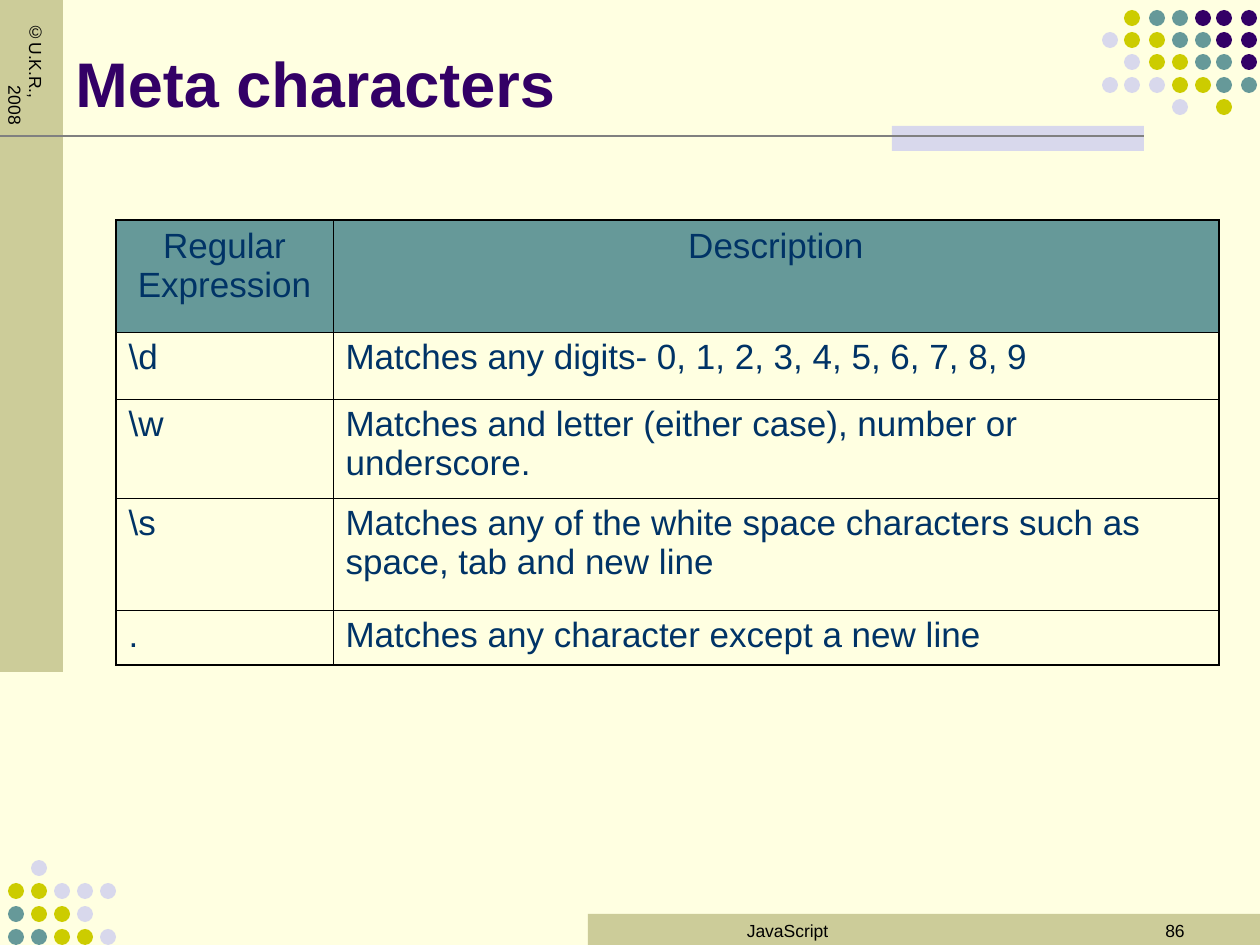
import pptx
import pptx.dml.color
import pptx.enum.shapes
import pptx.enum.text
import pptx.oxml
import pptx.oxml.ns
import pptx.util

ALIGN = pptx.enum.text.PP_ALIGN
ANCHOR = pptx.enum.text.MSO_ANCHOR
SHAPE = pptx.enum.shapes.MSO_SHAPE

PURPLE, TEAL, OLIVE, LILAC = "330066", "669999", "CCCC00", "D8D8EC"
SAND, CREAM, GREY, NAVY, BLACK = "CCCC99", "FFFFE1", "808080", "003366", "000000"
DOT_COLORS = {"P": PURPLE, "T": TEAL, "Y": OLIVE, "L": LILAC}


def px(length):
    return pptx.util.Emu(round(length * 914400 / 126))


def rgb(color):
    return pptx.dml.color.RGBColor.from_string(color)


class SlideBuilder:
    font = "Arial"
    dot_size = 16
    outer_border, inner_border = 1.08, 0.45

    def __init__(self, slide):
        self.slide = slide
        fill = slide.background.fill
        fill.solid()
        fill.fore_color.rgb = rgb(CREAM)

    def shape(self, kind, left, top, width, height, color):
        shape = self.slide.shapes.add_shape(kind, px(left), px(top), px(width), px(height))
        shape.shadow.inherit = False
        shape.fill.solid()
        shape.fill.fore_color.rgb = rgb(color)
        shape.line.fill.background()

    def dots(self, lefts, tops, pattern):
        """Draw one dot per letter of the pattern rows; a full stop is a gap."""
        for top, row in zip(tops, pattern):
            for left, letter in zip(lefts, row):
                if letter != ".":
                    self.shape(SHAPE.OVAL, left, top, self.dot_size, self.dot_size,
                               DOT_COLORS[letter])

    def rule(self, left, right, y, color, points):
        line = self.slide.shapes.add_connector(
            pptx.enum.shapes.MSO_CONNECTOR.STRAIGHT, px(left), px(y), px(right), px(y))
        line.line.color.rgb = rgb(color)
        line.line.width = pptx.util.Pt(points)
        properties = line._element.spPr
        properties.append(properties.makeelement(pptx.oxml.ns.qn("a:effectLst"), {}))

    def add_words(self, frame, text, size, color, align=ALIGN.LEFT, bold=False):
        paragraph = frame.paragraphs[0]
        paragraph.alignment = align
        run = paragraph.add_run()
        run.text = text
        run.font.name = self.font
        run.font.size = pptx.util.Pt(size)
        run.font.bold = bold
        run.font.color.rgb = rgb(color)

    def text(self, left, top, width, height, text, size, color,
             align=ALIGN.LEFT, bold=False, anchor=ANCHOR.TOP):
        box = self.slide.shapes.add_textbox(px(left), px(top), px(width), px(height))
        frame = box.text_frame
        frame.word_wrap = True
        frame.vertical_anchor = anchor
        self.add_words(frame, text, size, color, align, bold)
        return frame

    def vertical_text(self, left, top, width, height, text, size, color, hanging):
        frame = self.text(left, top, width, height, text, size, color)
        frame.margin_left = frame.margin_right = px(6)
        frame.margin_top = frame.margin_bottom = px(13)
        frame._txBody.bodyPr.set("vert", "eaVert")
        indent = frame.paragraphs[0]._p.get_or_add_pPr()
        indent.set("marL", str(px(hanging)))
        indent.set("indent", str(-px(hanging)))

    def border(self, cell, side, points):
        cell._tc.get_or_add_tcPr().append(pptx.oxml.parse_xml(
            f'<a:ln{side} {pptx.oxml.ns.nsdecls("a")} w="{pptx.util.Pt(points)}">'
            f'<a:solidFill><a:srgbClr val="{BLACK}"/></a:solidFill></a:ln{side}>'))

    def table(self, left, top, widths, heights, rows, size):
        table = self.slide.shapes.add_table(
            len(rows), len(widths), px(left), px(top),
            px(sum(widths)), px(sum(heights))).table
        table.first_row = table.horz_banding = False
        for column, width in zip(table.columns, widths):
            column.width = px(width)
        for row, height in zip(table.rows, heights):
            row.height = px(height)
        last_row, last_column = len(rows) - 1, len(widths) - 1
        for r, row in enumerate(rows):
            for c, text in enumerate(row):
                cell = table.cell(r, c)
                outer = {"L": c == 0, "R": c == last_column, "T": r == 0, "B": r == last_row}
                for side, is_outer in outer.items():
                    self.border(cell, side, self.outer_border if is_outer else self.inner_border)
                if r == 0:
                    cell.fill.solid()
                    cell.fill.fore_color.rgb = rgb(TEAL)
                else:
                    cell.fill.background()
                self.add_words(cell.text_frame, text, size, NAVY,
                               ALIGN.CENTER if r == 0 else ALIGN.LEFT)


META_CHARACTERS = [
    ("Regular Expression", "Description"),
    ("\\d", "Matches any digits- 0, 1, 2, 3, 4, 5, 6, 7, 8, 9"),
    ("\\w", "Matches and letter (either case), number or underscore."),
    ("\\s", "Matches any of the white space characters such as space, tab and new line"),
    (".", "Matches any character except a new line"),
]


def main():
    presentation = pptx.Presentation()
    presentation.slide_width, presentation.slide_height = px(1260), px(945)
    builder = SlideBuilder(presentation.slides.add_slide(presentation.slide_layouts[6]))

    builder.shape(SHAPE.RECTANGLE, 588, 914, 672, 31, SAND)
    builder.dots([1102, 1124, 1149, 1172, 1195, 1216, 1241], [10, 32, 54, 77, 99],
                 [".YTTPPP", "LYYTTPP", ".LYYTTP", "LLLYYTT", "...L.Y."])
    builder.shape(SHAPE.RECTANGLE, 0, 0, 63, 672, SAND)
    builder.shape(SHAPE.RECTANGLE, 892, 126, 252, 25, LILAC)
    builder.rule(0, 1144, 136, GREY, 1.5)
    builder.vertical_text(32, 10, 21, 136, "©U.K.R., 2008", 10, BLACK, hanging=63)
    builder.dots(range(8, 108, 23), range(860, 945, 23),
                 [".L...", "YYLLL", "TYYL.", "TTYYL"])

    builder.text(588, 914, 399, 63, "JavaScript", 10, BLACK, ALIGN.CENTER)
    builder.text(903, 914, 294, 63, "86", 10, BLACK, ALIGN.RIGHT)
    builder.text(63, 16, 1040, 110, "Meta characters", 36, PURPLE,
                 bold=True, anchor=ANCHOR.BOTTOM)
    builder.table(116, 220, [217, 886], [112, 67, 99, 112, 55], META_CHARACTERS, 20)

    presentation.save("out.pptx")


if __name__ == "__main__":
    main()
